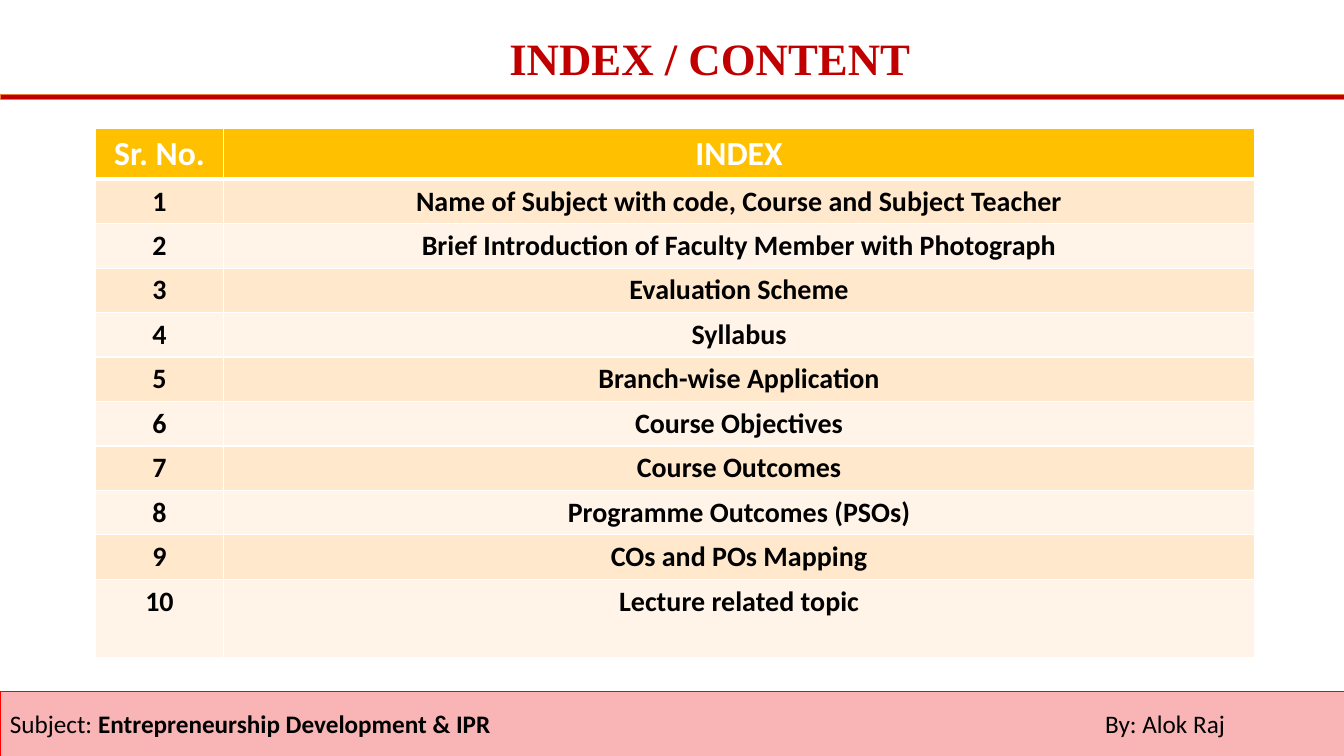
from lxml.etree import SubElement
from pptx import Presentation
from pptx.dml.color import RGBColor
from pptx.enum.shapes import MSO_SHAPE
from pptx.enum.text import MSO_ANCHOR, PP_ALIGN
from pptx.oxml.ns import qn
from pptx.util import Cm, Pt

WHITE = RGBColor(0xFF, 0xFF, 0xFF)
BLACK = RGBColor(0, 0, 0)
RED = RGBColor(0xC0, 0, 0)
BRIGHT = RGBColor(0xFF, 0, 0)
ORANGE = RGBColor(0xED, 0x7D, 0x31)
GOLD = RGBColor(0xFF, 0xC0, 0)
PEACH = RGBColor(0xFF, 0xE8, 0xCC)
CREAM = RGBColor(0xFF, 0xF4, 0xE7)
PINK = RGBColor(0xF9, 0xB4, 0xB6)

TOPICS = [
    "Name of Subject with code, Course and Subject Teacher",
    "Brief Introduction of Faculty Member with Photograph",
    "Evaluation Scheme",
    "Syllabus",
    "Branch-wise Application",
    "Course Objectives",
    "Course Outcomes",
    "Programme Outcomes (PSOs)",
    "COs and POs Mapping",
    "Lecture related topic",
]


def write(para, text, size=20, color=BLACK, bold=True, face="Calibri", align=PP_ALIGN.CENTER):
    """Add a formatted run to a paragraph."""
    para.alignment = align
    run = para.add_run()
    run.text = text
    font = run.font
    font.size, font.bold, font.name = Pt(size), bold, face
    font.color.rgb = color


def add_bar(slide, top, height, fill, line):
    """Add a full-width bar with a thin outline."""
    bar = slide.shapes.add_shape(MSO_SHAPE.RECTANGLE, 0, Cm(top), Cm(33.87), Cm(height))
    bar.shadow.inherit = False
    bar.fill.solid()
    bar.fill.fore_color.rgb = fill
    bar.line.color.rgb = line
    bar.line.width = Pt(0.5)
    return bar


def add_edge(cell, side, width):
    """Draw one white cell border."""
    props = cell._tc.get_or_add_tcPr()
    edge = SubElement(props, qn(f"a:ln{side}"), w=str(Pt(width)))
    fill = SubElement(edge, qn("a:solidFill"))
    SubElement(fill, qn("a:srgbClr"), val=str(WHITE))


def add_index(slide):
    """Add the numbered table of topics."""
    rows = [("Sr. No.", "INDEX")]
    rows += [(str(num), topic) for num, topic in enumerate(TOPICS, 1)]
    highs = [1.26] + [1.12] * (len(TOPICS) - 1) + [1.97]
    frame = slide.shapes.add_table(len(rows), 2, Cm(2.41), Cm(3.23), Cm(29.21), Cm(sum(highs)))
    table = frame.table
    for col, width in zip(table.columns, (3.22, 25.99)):
        col.width = Cm(width)
    for row, (texts, high) in enumerate(zip(rows, highs)):
        table.rows[row].height = Cm(high)
        head = row == 0
        shade = GOLD if head else (CREAM, PEACH)[row % 2]
        for col, text in enumerate(texts):
            cell = table.cell(row, col)
            for side in "LRTB":
                thick = (head and side == "B") or (row == 1 and side == "T")
                add_edge(cell, side, 3 if thick else 1)
            cell.fill.solid()
            cell.fill.fore_color.rgb = shade
            write(cell.text_frame.paragraphs[0], text,
                  size=24 if head else 20, color=WHITE if head else BLACK)


def add_title(slide):
    """Add the slide heading."""
    box = slide.shapes.add_textbox(Cm(9.42), Cm(0.66), Cm(16.94), Cm(1.6))
    box.text_frame.word_wrap = True
    write(box.text_frame.paragraphs[0], "INDEX / CONTENT",
          size=32, color=RED, face="Times New Roman")


def add_footer(slide):
    """Add the footer bar with subject and teacher."""
    frame = add_bar(slide, 17.42, 1.63, PINK, BRIGHT).text_frame
    frame.vertical_anchor = MSO_ANCHOR.MIDDLE
    para = frame.paragraphs[0]
    tabs = SubElement(para._p.get_or_add_pPr(), qn("a:tabLst"))
    SubElement(tabs, qn("a:tab"), pos=str(Cm(27.6)), algn="l")
    for text, bold in (("Subject: ", False),
                       ("Entrepreneurship Development & IPR", True),
                       ("\tBy: Alok Raj", False)):
        write(para, text, size=18, bold=bold, align=PP_ALIGN.LEFT)


def main():
    """Build and save the slide."""
    deck = Presentation()
    deck.slide_width, deck.slide_height = Cm(33.87), Cm(19.05)
    slide = deck.slides.add_slide(deck.slide_layouts[6])
    add_index(slide)
    add_bar(slide, 2.38, 0.12, RED, ORANGE)
    add_title(slide)
    add_footer(slide)
    deck.save("out.pptx")


if __name__ == "__main__":
    main()
